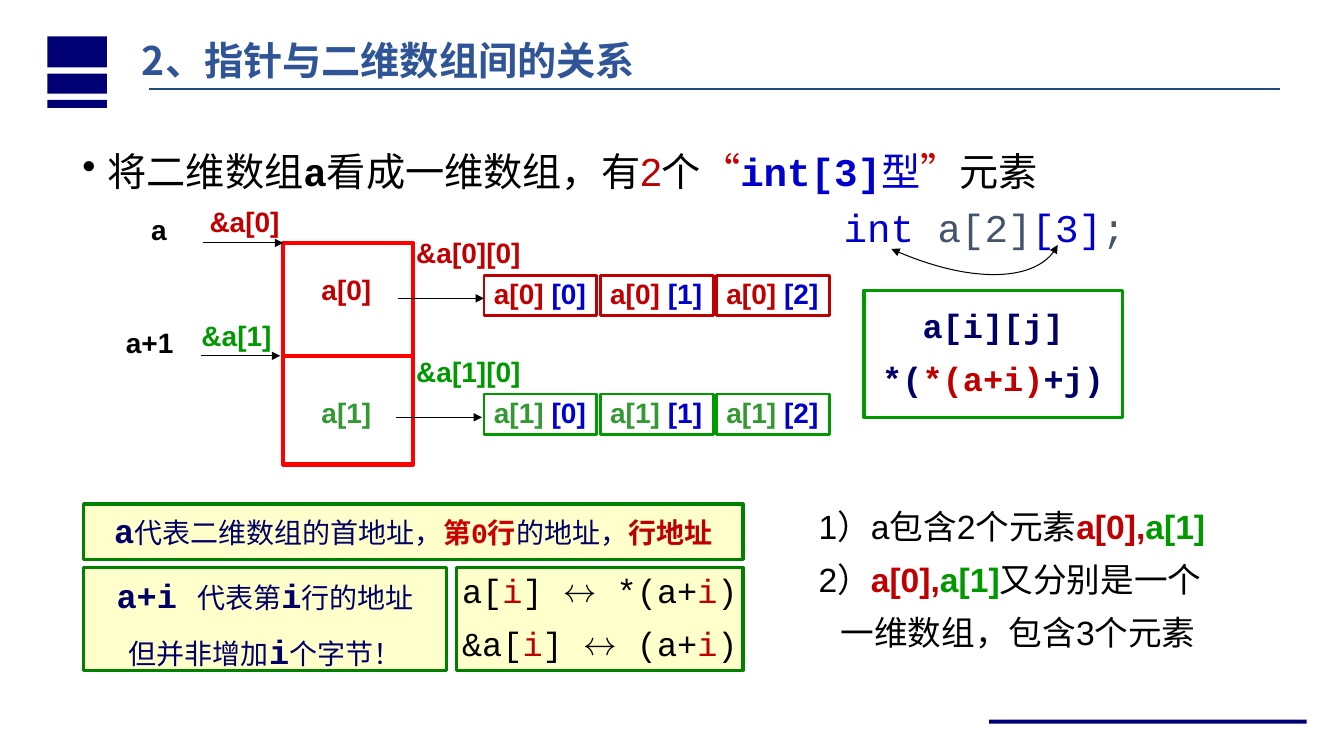
from dataclasses import dataclass

from lxml import etree
from pptx import Presentation
from pptx import util as u
from pptx.dml.color import RGBColor
from pptx.enum import shapes, text
from pptx.oxml.ns import qn


@dataclass(frozen=True)
class Theme:
    black: str = "000000"
    white: str = "FFFFFF"
    navy: str = "000074"
    ink: str = "000066"
    title: str = "2F5597"
    rule: str = "1F4E79"
    slate: str = "44546A"
    red: str = "C00000"
    quote: str = "CC0000"
    frame: str = "FF0000"
    blue: str = "0000CC"
    green: str = "009900"
    leaf: str = "339933"
    edge: str = "008000"
    cream: str = "FFFFCC"
    sans: str = "Arial"
    mono: str = "Courier New"
    han: str = "Noto Sans CJK SC"
    sign: str = "Roboto"
    big: int = 28
    mid: int = 24
    small: int = 20


T = Theme()
CELL = 0.1  # inches per grid column and row


def grid(n):
    return u.Inches(n * CELL)


def tint(color):
    return RGBColor.from_string(color)


def run(words, color=T.black, size=T.mid, bold=False, face=T.sans):
    return words, color, size, bold, face


def code(words, color=T.black, size=T.mid, bold=False):
    return run(words, color, size, bold, T.mono)


def bold(words, color=T.black, size=T.small):
    return run(words, color, size, True)


class Board:
    """Draws on one slide; all places are in grid columns and rows."""

    def __init__(self, deck, theme):
        self.theme = theme
        self.slide = deck.slides.add_slide(deck.slide_layouts[6])
        self.shapes = self.slide.shapes

    def box(self, x, y, w, h, fill=None, edge=None, width=2.25):
        rect = self.shapes.add_shape(shapes.MSO_SHAPE.RECTANGLE, *map(grid, (x, y, w, h)))
        rect.shadow.inherit = False
        if fill:
            rect.fill.solid()
            rect.fill.fore_color.rgb = tint(fill)
        else:
            rect.fill.background()
        if edge:
            self.stroke(rect, edge, width)
        else:
            rect.line.fill.background()
        return rect

    def label(self, x, y, w, h, *paras, **look):
        self.put(self.shapes.add_textbox(*map(grid, (x, y, w, h))), *paras, **look)

    def put(self, shape, *paras, wrap=False, grow=True, mid=False,
            lead=0.9, gap=5.9, after=5.9, indents=(), bullet=None):
        frame = shape.text_frame
        frame.word_wrap = wrap
        frame.auto_size = (text.MSO_AUTO_SIZE.SHAPE_TO_FIT_TEXT if grow
                           else text.MSO_AUTO_SIZE.NONE)
        frame.vertical_anchor = text.MSO_ANCHOR.MIDDLE if mid else text.MSO_ANCHOR.TOP
        for n, runs in enumerate(paras):
            para = frame.add_paragraph() if n else frame.paragraphs[0]
            para.alignment = text.PP_ALIGN.CENTER if mid else text.PP_ALIGN.LEFT
            para.line_spacing = lead
            para.space_before = u.Pt(gap if n else 0)
            para.space_after = u.Pt(after)
            props = para._p.get_or_add_pPr()
            if indents:
                props.set("marL", str(grid(indents[n])))
            if bullet:
                props.set("indent", str(-grid(indents[n])))
                etree.SubElement(props, qn("a:buChar")).set("char", bullet)
            for part in runs:
                self.add_run(para, *part)

    def add_run(self, para, words, color, size, heavy, face):
        piece = para.add_run()
        piece.text = words
        font = piece.font
        font.size, font.bold, font.name = u.Pt(size), heavy, face
        font.color.rgb = tint(color)
        east = etree.SubElement(piece._r.get_or_add_rPr(), qn("a:ea"))
        east.set("typeface", self.theme.han)

    def line(self, x1, y1, x2, y2, color=T.black, width=0.75, ends=()):
        link = self.shapes.add_connector(
            shapes.MSO_CONNECTOR.STRAIGHT, *map(grid, (x1, y1, x2, y2)))
        self.stroke(link, color, width, ends)
        etree.SubElement(link._element.spPr, qn("a:effectLst"))

    def stroke(self, shape, color, width, ends=()):
        shape.line.color.rgb = tint(color)
        shape.line.width = u.Pt(width)
        outline = shape._element.spPr.find(qn("a:ln"))
        for end in ends:
            etree.SubElement(outline, qn("a:" + end)).set("type", "triangle")

    def curve(self, start, *pulls):
        """Bezier from start, through two pulls, to the last point."""
        pen = self.shapes.build_freeform(*map(grid, start))
        pen.add_line_segments([tuple(map(grid, p)) for p in pulls], close=False)
        bow = pen.convert_to_shape()
        bow.shadow.inherit = False
        bow.fill.background()
        route = bow._element.find(".//" + qn("a:moveTo")).getparent()
        bend = etree.SubElement(route, qn("a:cubicBezTo"))
        for leg in route.findall(qn("a:lnTo")):
            bend.append(leg[0])
            route.remove(leg)
        self.stroke(bow, self.theme.black, 0.75, ("headEnd", "tailEnd"))


def main():
    deck = Presentation()
    deck.slide_width, deck.slide_height = u.Inches(13.33), u.Inches(7.5)
    b = Board(deck, T)

    # Corner bars, footer bar and title
    for top, high in ((3.6, 3.1), (7.3, 2), (9.9, 0.8)):
        b.box(4.7, top, 5.9, high, T.navy)
    b.box(98.1, 71.4, 31.5, 0.4, T.navy)
    b.line(14.8, 8.8, 127, 8.8, T.rule, 1.25)
    b.label(13.1, 3.1, 74.6, 5.7,
            [run("2、指针与二维数组间的关系", T.title, T.big, True, T.han)],
            wrap=True, lead=1.0, after=0)

    # Leading statement
    b.label(7.2, 13.9, 100.7, 9.5, [
        run("将二维数组", size=T.big), code("a", size=T.big, bold=True),
        run("看成一维数组，有", size=T.big), run("2", T.red, T.big),
        run("个", size=T.big), run("“", T.quote, T.big),
        code("int[3]", T.blue, T.big, True), run("型", T.blue, T.big),
        run("”", T.quote, T.big), run("元素", size=T.big),
    ], wrap=True, grow=False, lead=1.05, after=0, indents=(2.5,), bullet="•")

    # Pointer diagram: column of rows, then the cells of each row
    b.label(14, 21, 3.6, 4, [bold("a")])
    b.label(11.5, 32.2, 6.7, 4, [bold("a+1")])
    b.line(28.1, 35.3, 41, 35.3, T.frame, 3)
    b.box(28.1, 24.1, 12.9, 22, edge=T.frame, width=3)
    for row, (dark, soft) in enumerate(((T.red, T.red), (T.green, T.leaf))):
        name, down = f"a[{row}]", 11.8 * row
        b.label(30.9, 26.9 + 12.2 * row, 7, 4, [bold(name, soft)])
        b.line(20.1 - 0.2 * row, 24.1 + 11.2 * row,
               28.1 - 0.3 * row, 24.1 + 11.2 * row, ends=("tailEnd",))
        b.label(19.8 - 0.8 * row, 20.2 + 11.3 * row, 9, 4, [bold("&" + name, dark)])
        b.line(39.5 - 0.2 * row, 29.6 + down, 48 - 0.2 * row, 29.6 + down, ends=("tailEnd",))
        b.label(40.3, 23.3 + down, 12.5, 4, [bold(f"&{name}[0]", dark)])
        for col in range(3):
            cell = b.box(48 + 11.53 * col, 27.3 + down, 11.2, 4, edge=dark, width=2)
            b.put(cell, [bold(name + " ", soft), bold(f"[{col}]", T.blue)])

    # Declaration with its curved arrow, and element access
    b.put(b.box(85.7, 28.8, 25.6, 12.6, T.white, T.green),
          [code("a[i][j]", T.ink, bold=True)],
          [code("*(", T.ink, bold=True), code("*(a+i)", T.red, bold=True),
           code("+j)", T.ink, bold=True)],
          grow=False, mid=True, lead=0.95, gap=4.8)
    b.label(81.2, 20.2, 31.6, 5.2, [
        code("int ", T.blue, T.big), code("a[2]", T.slate, T.big),
        code("[3]", T.blue, T.big), code(";", T.slate, T.big),
    ], indents=(1.5,))
    b.curve((88.4, 24.7), (95.9, 28.1), (103.3, 27.9), (104.9, 24.3))

    # Equivalent forms
    b.put(b.box(45.3, 56.3, 28.4, 10.2, T.cream, T.edge), *[
        [code(left), code("i", T.red), code("] "), run("↔", face=T.sign),
         code(right), code("i", T.red), code(")")]
        for left, right in (("a[", " *(a+"), ("&a[", " (a+"))
    ], grow=False, mid=True)

    # Meaning of a and a+i
    b.put(b.box(8.3, 50, 65.4, 5.5, T.cream, T.edge), [
        code("a", T.ink, bold=True), code("代表二维数组的首地址，", T.ink, T.small),
        code("第0行", T.quote, T.small, True), code("的地址，", T.ink, T.small),
        code("行地址", T.red, T.small, True),
    ], grow=False, mid=True, lead=0.95)
    b.put(b.box(8.3, 56.3, 36, 10.2, T.cream, T.edge),
          [code("a+i ", T.ink, bold=True), code("代表第", T.ink, T.small),
           code("i", T.ink, bold=True), code("行的地址", T.ink, T.small)],
          [code("但并非增加", T.ink, T.small), code("i", T.ink, bold=True),
           code("个字节！", T.ink, T.small)],
          grow=False, mid=True, lead=1.2, gap=6, after=0)

    # Summary
    pair = [bold("a[0],", T.red, T.mid), bold("a[1]", T.green, T.mid)]
    b.label(80.2, 50.2, 41.1, 13.4,
            [run("1）a包含2个元素"), *pair],
            [run("2）"), *pair, run("又分别是一个")],
            [run("一维数组，包含3个元素")],
            grow=False, indents=(0, 0, 2.2))

    deck.save("out.pptx")


if __name__ == "__main__":
    main()
